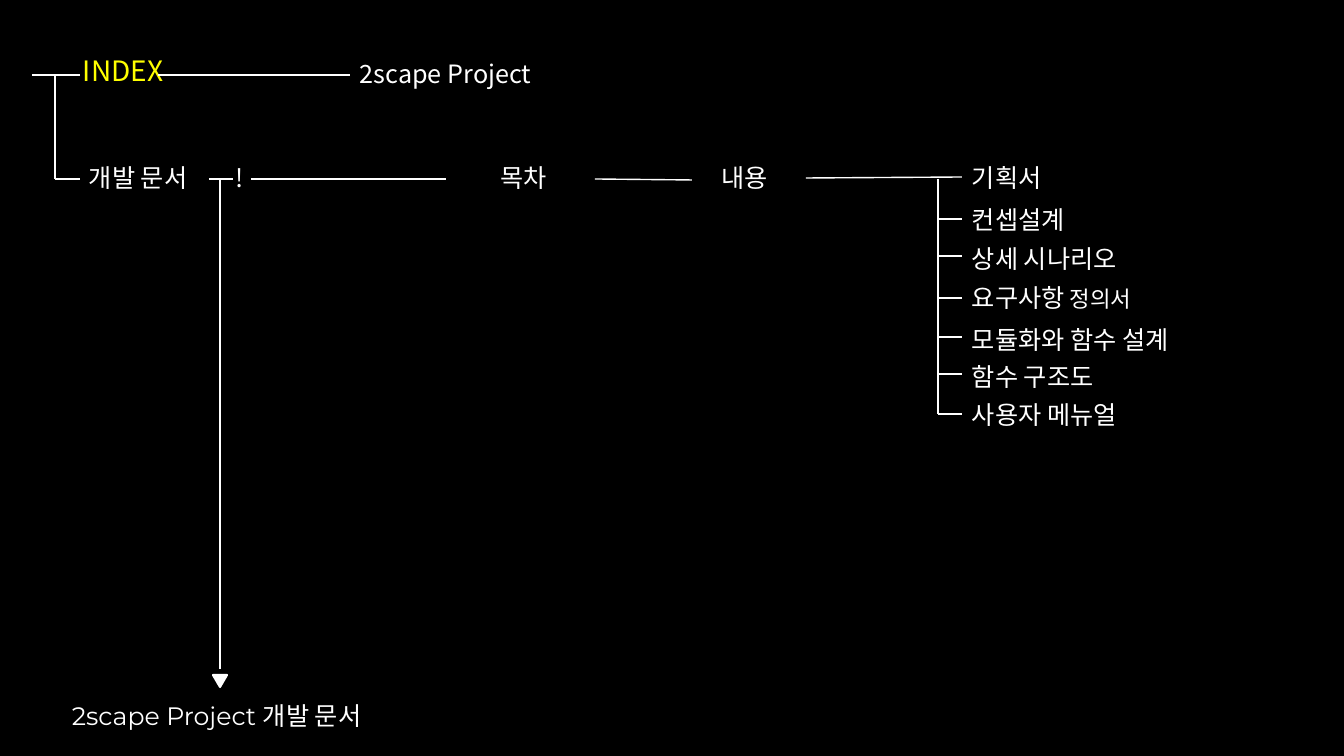
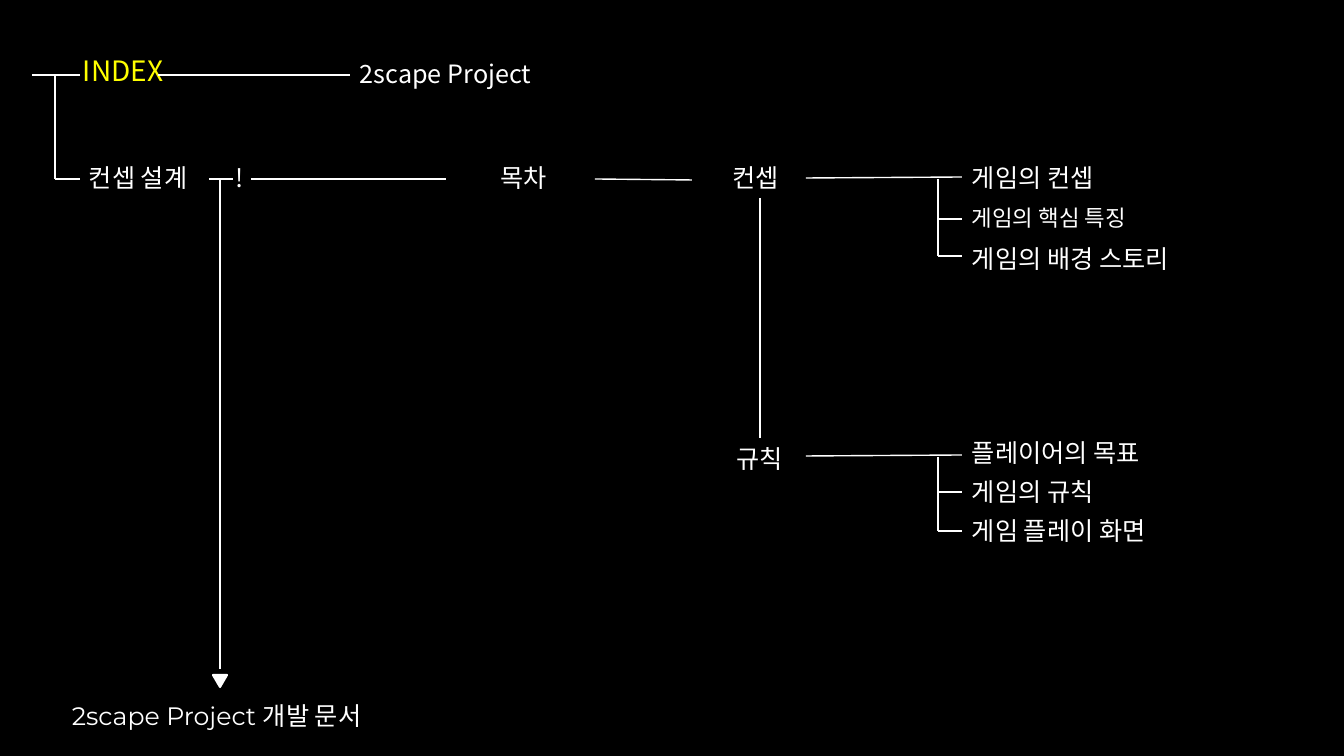
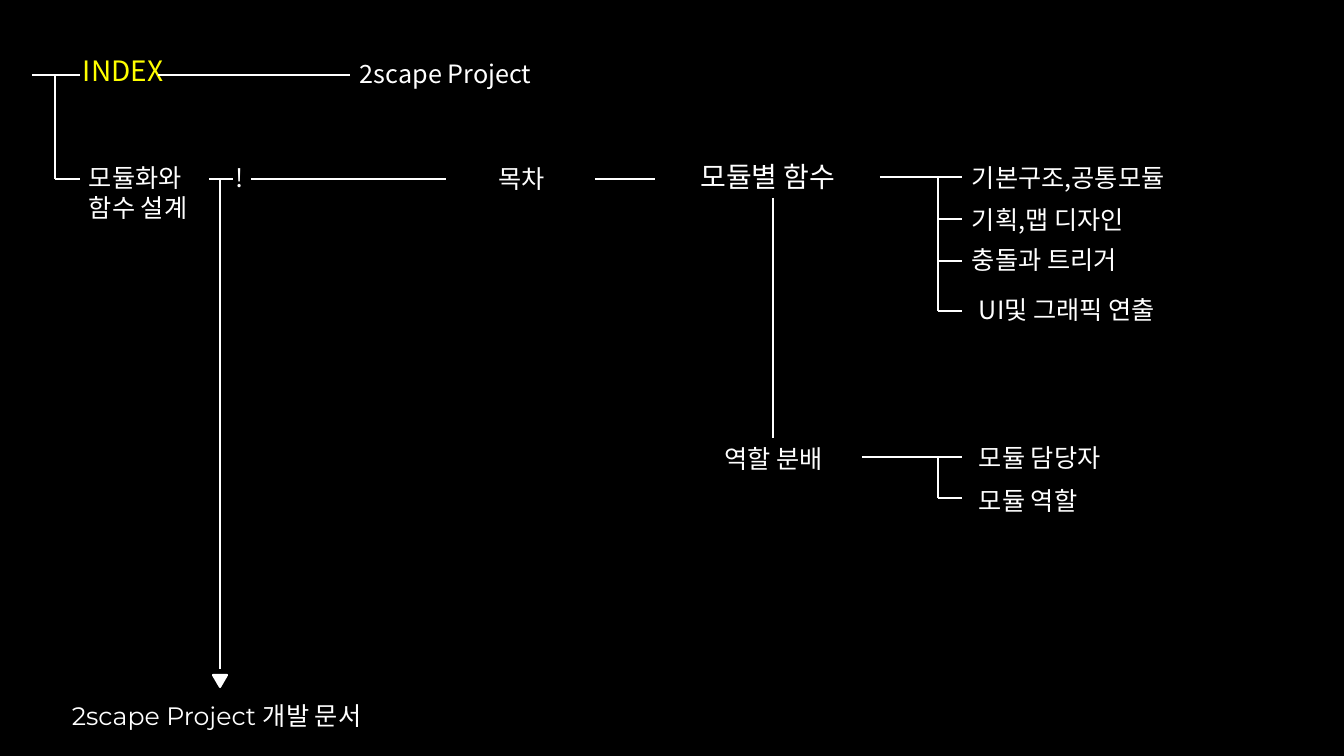
from lxml.etree import SubElement
from pptx import Presentation
from pptx.dml.color import RGBColor
from pptx.enum.shapes import MSO_CONNECTOR as Connector, MSO_SHAPE as Preset
from pptx.enum.text import MSO_AUTO_SIZE as AutoSize, PP_ALIGN as Align
from pptx.oxml.ns import qn
from pptx.util import Emu, Pt

COLORS = {"ground": "000000", "ink": "FFFFFF", "title": "FFFF00"}
FONT = "Noto Sans CJK KR"
LATIN_FONT = "Montserrat"
SCALE = 914400 / 100.8
ROW_TOP = 157
ROW_LINE = 179
SPINE_X = 938
BRANCH_END = 962


def px(length):
    return Emu(round(length * SCALE))


def color(name):
    return RGBColor.from_string(COLORS[name])


def add_text(page, box, runs, size=18, ink="ink", font=FONT, align=Align.LEFT):
    frame = page.shapes.add_textbox(*map(px, box)).text_frame
    frame.word_wrap = True
    frame.auto_size = AutoSize.SHAPE_TO_FIT_TEXT
    para = frame.paragraphs[0]
    para.alignment = align
    if isinstance(runs, str):
        runs = [(runs, size)]
    for words, points in runs:
        span = para.add_run()
        span.text = words
        span.font.size = Pt(points)
        span.font.name = font
        span.font.color.rgb = color(ink)
        SubElement(span.font._element, qn("a:ea"), typeface=FONT)


def add_line(page, x1, y1, x2, y2, width=1):
    line = page.shapes.add_connector(Connector.STRAIGHT, *map(px, (x1, y1, x2, y2)))
    line.line.color.rgb = color("ink")
    line.line.width = Pt(width)
    SubElement(line._element.spPr, qn("a:effectLst"))


def add_header(page, left, top, title_width):
    middle = top + 26
    add_text(page, (left, top, 114, 44), "INDEX", 20, "title")
    add_line(page, left - 41, middle, left + 7, middle)
    add_line(page, left + 85, middle, left + 277, middle)
    add_text(page, (left + 277, top + 4, title_width, 40), "2scape Project")
    add_line(page, left - 18, middle, left - 18, ROW_LINE)
    add_line(page, left - 18, ROW_LINE, left + 7, ROW_LINE)


def add_section(page, left, top, name, height):
    middle = top + 22
    add_text(page, (left, top, 137, height), name)
    add_line(page, left + 130, middle, left + 154, middle)
    add_text(page, (left + 147, top, 31, 40), "!")
    add_line(page, left + 172, middle, left + 367, middle)


def add_footer(page, left, top):
    stem = left + 158
    add_line(page, stem, ROW_LINE + 1, stem, top - 26, 1.25)
    arrow = page.shapes.add_shape(
        Preset.ISOSCELES_TRIANGLE, *map(px, (stem - 7, top - 20, 14, 12)))
    arrow.rotation = 180
    arrow.shadow.inherit = False
    arrow.fill.solid()
    arrow.fill.fore_color.rgb = color("ink")
    arrow.line.color.rgb = color("ink")
    arrow.line.width = Pt(1.5)
    add_text(page, (left, top, 347, 40), "2scape Project 개발 문서", font=LATIN_FONT)


def add_branch(page, topic, topic_box, stem, items, ticks, size=18):
    add_text(page, topic_box, topic, size, align=Align.CENTER)
    add_line(page, *stem)
    add_line(page, SPINE_X, stem[1] + 1, SPINE_X, ticks[-1])
    for tick in ticks:
        add_line(page, SPINE_X, tick, BRANCH_END, tick)
    for left, top, runs in items:
        add_text(page, (left, top, 287, 40), runs)


def add_index(deck, title_width, section, section_height, contents_box, link, branches, drop=None):
    page = deck.slides.add_slide(deck.slide_layouts[6])
    add_header(page, 73, 49, title_width)
    add_section(page, 79, ROW_TOP, section, section_height)
    add_text(page, contents_box, "목차", align=Align.CENTER)
    add_line(page, *link)
    for branch in branches:
        add_branch(page, **branch)
    if drop:
        add_line(page, *drop)
    add_footer(page, 62, 695)


def column(tops, names, left=BRANCH_END):
    return [(left, top, name) for top, name in zip(tops, names)]


deck = Presentation()
deck.slide_width, deck.slide_height = px(1344), px(756)
ground = deck.slide_master.background.fill
ground.solid()
ground.fore_color.rgb = color("ground")

add_index(
    deck, 354, "개발 문서", 40, (438, ROW_TOP, 172, 40), (595, 179, 692, 180),
    [dict(
        topic="내용", topic_box=(687, ROW_TOP, 115, 40), stem=(806, 178, 962, 177),
        items=column(
            (157, 199, 238, 277, 319, 356, 394),
            ("기획서", "컨셉설계", "상세 시나리오", [("요구사항", 18), (" 정의서", 16)],
             "모듈화와 함수 설계", "함수 구조도", "사용자 메뉴얼")),
        ticks=(219, 256, 298, 337, 374, 414))])

add_index(
    deck, 434, "컨셉 설계", 40, (438, ROW_TOP, 172, 40), (595, 179, 692, 180),
    [dict(
        topic="컨셉", topic_box=(698, ROW_TOP, 115, 40), stem=(806, 178, 962, 177),
        items=column(
            (157, 199, 238),
            ("게임의 컨셉", [("게임의 핵심 특징", 16)], "게임의 배경 스토리")),
        ticks=(219, 256)),
     dict(
        topic="규칙", topic_box=(684, 438, 151, 40), stem=(806, 456, 962, 455),
        items=column((432, 471, 510), ("플레이어의 목표", "게임의 규칙", "게임 플레이 화면")),
        ticks=(492, 531))],
    drop=(760, 198, 760, 438))

add_index(
    deck, 236, "모듈화와 함수 설계", 72, (436, 158, 172, 40), (595, 179, 655, 179),
    [dict(
        topic="모듈별 함수", topic_box=(657, 155, 222, 44), stem=(880, 177, 962, 177),
        items=column((157, 199, 239), ("기본구조,공통모듈", "기획,맵 디자인", "충돌과 트리거"))
        + column((289,), ("UI및 그래픽 연출",), 969),
        ticks=(219, 261, 311), size=20),
     dict(
        topic="역할 분배", topic_box=(698, 438, 151, 40), stem=(862, 457, 962, 457),
        items=column((437, 480), ("모듈 담당자", "모듈 역할"), 969),
        ticks=(498,))],
    drop=(773, 198, 773, 438))

deck.save("out.pptx")
